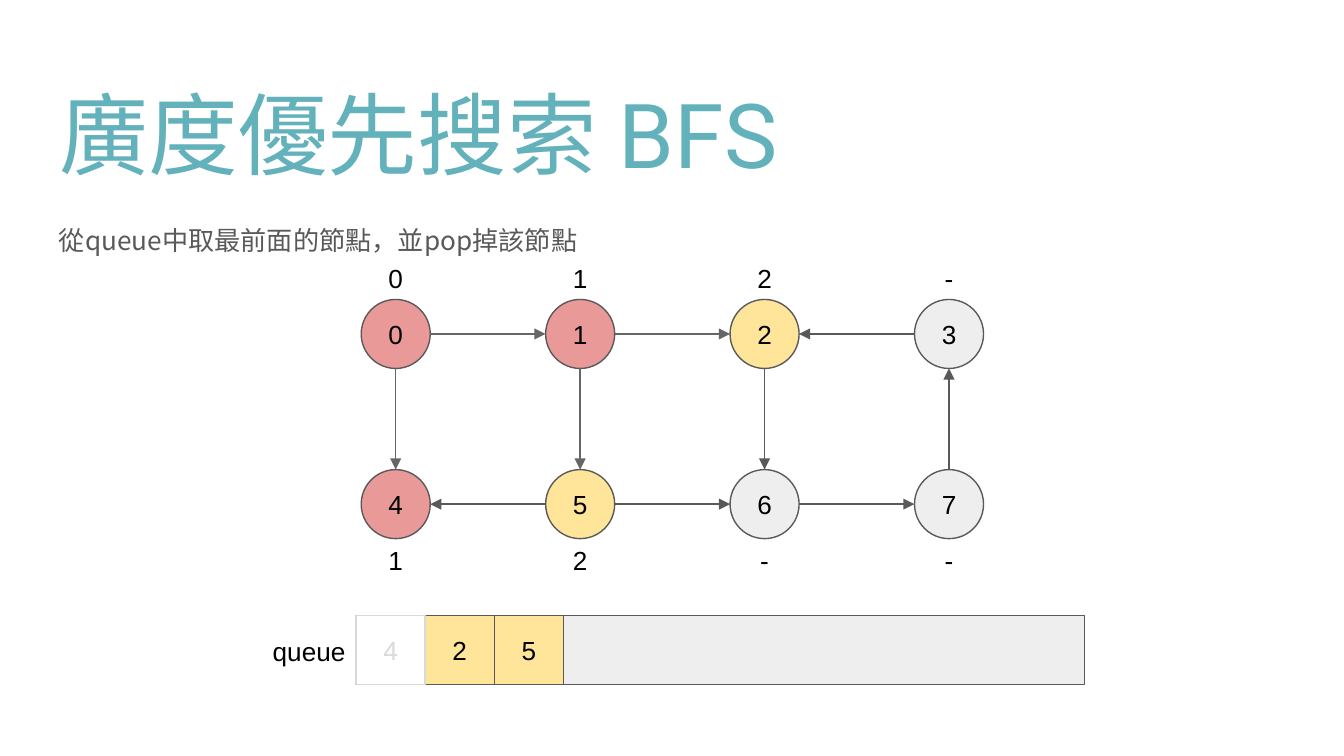
from lxml import etree
from pptx import Presentation
from pptx.dml.color import RGBColor
from pptx.enum.shapes import MSO_CONNECTOR, MSO_SHAPE
from pptx.enum.text import MSO_ANCHOR, MSO_AUTO_SIZE, PP_ALIGN
from pptx.oxml.ns import qn
from pptx.util import Pt

LEFT, CENTER = PP_ALIGN.LEFT, PP_ALIGN.CENTER
TOP, MIDDLE = MSO_ANCHOR.TOP, MSO_ANCHOR.MIDDLE
OVAL, RECT = MSO_SHAPE.OVAL, MSO_SHAPE.RECTANGLE
STRAIGHT, NO_FIT = MSO_CONNECTOR.STRAIGHT, MSO_AUTO_SIZE.NONE

COLORS = {
    "title": "63B2BB", "body": "595959", "text": "000000", "line": "595959",
    "light_line": "666666", "visited": "EA9999", "queued": "FFE599",
    "idle": "EEEEEE", "popped": "FFFFFF", "faded": "D9D9D9",
}
TITLE = "廣度優先搜索 BFS"
SUBTITLE = "從queue中取最前面的節點，並pop掉該節點"
NODES = [
    ("visited", "0"), ("visited", "1"), ("queued", "2"), ("idle", "-"),
    ("visited", "1"), ("queued", "2"), ("idle", "-"), ("idle", "-"),
]
EDGES = [
    (0, 1, "light_line"), (1, 5, "light_line"), (5, 4, "line"),
    (1, 2, "light_line"), (3, 2, "line"), (5, 6, "line"), (6, 7, "line"),
    (7, 3, "line"), (2, 6, "line"), (0, 4, "light_line"),
]
QUEUE = [
    ("2", 1, "queued", "line", "text"),
    ("5", 2, "queued", "line", "text"),
    ("4", 0, "popped", "faded", "faded"),
]
COLUMNS, SIZE = 4, 37
GRID_X, GRID_Y, STEP_X, STEP_Y = 193.5, 160.4, 98.8, 91.2
LABEL_W, LABEL_H, LABEL_Y = 57.6, 23, (137.5, 288.7)
QUEUE_X, QUEUE_Y, QUEUE_W = 190.8, 329.8, 390.2


def rgb(name):
    return RGBColor.from_string(COLORS[name])


def write(s, text, size=14, font="Arial", color="text", align=CENTER, anchor=MIDDLE):
    tf = s.text_frame
    tf.word_wrap = True
    tf.auto_size = NO_FIT
    tf.vertical_anchor = anchor
    tf.margin_left = tf.margin_right = tf.margin_top = tf.margin_bottom = Pt(7.2)
    p = tf.paragraphs[0]
    p.alignment = align
    r = p.add_run()
    r.text = text
    r.font.size = Pt(size)
    r.font.name = font
    r.font.color.rgb = rgb(color)
    etree.SubElement(r.font._element, qn("a:ea"), typeface=font)


def add_text(slide, x, y, w, h, text, **style):
    write(slide.shapes.add_textbox(Pt(x), Pt(y), Pt(w), Pt(h)), text, **style)


def add_box(slide, kind, x, y, w, fill, line="line"):
    s = slide.shapes.add_shape(kind, Pt(x), Pt(y), Pt(w), Pt(SIZE))
    s.shadow.inherit = False
    s.fill.solid()
    s.fill.fore_color.rgb = rgb(fill)
    s.line.color.rgb = rgb(line)
    s.line.width = Pt(0.75)
    return s


def node_center(i):
    row, col = divmod(i, COLUMNS)
    return GRID_X + col * STEP_X + SIZE / 2, GRID_Y + row * STEP_Y + SIZE / 2


def add_edge(slide, start, end, color):
    (x1, y1), (x2, y2) = node_center(start), node_center(end)
    trim = SIZE / 2 / (abs(x2 - x1) + abs(y2 - y1))
    dx, dy = (x2 - x1) * trim, (y2 - y1) * trim
    c = slide.shapes.add_connector(
        STRAIGHT, Pt(x1 + dx), Pt(y1 + dy), Pt(x2 - dx), Pt(y2 - dy))
    c.line.color.rgb = rgb(color)
    c.line.width = Pt(0.75)
    etree.SubElement(c.line._get_or_add_ln(), qn("a:tailEnd"), type="triangle")
    etree.SubElement(c._element.spPr, qn("a:effectLst"))


def main():
    """Build the breadth-first search slide."""
    prs = Presentation()
    prs.slide_width, prs.slide_height = Pt(720), Pt(405)
    slide = prs.slides.add_slide(prs.slide_layouts[5])

    title = slide.shapes.title
    title.left, title.top, title.width, title.height = Pt(24.5), Pt(35.3), Pt(671), Pt(71.3)
    write(title, TITLE, size=48, font="Roboto", color="title", align=LEFT, anchor=TOP)
    add_text(slide, 24.5, 113, 432, 47.5, SUBTITLE, font="Noto Sans CJK TC",
             color="body", align=LEFT, anchor=TOP)

    for i, (state, distance) in enumerate(NODES):
        x, y = node_center(i)
        write(add_box(slide, OVAL, x - SIZE / 2, y - SIZE / 2, SIZE, state), str(i))
        add_text(slide, x - LABEL_W / 2, LABEL_Y[i // COLUMNS], LABEL_W, LABEL_H, distance)
    for edge in EDGES:
        add_edge(slide, *edge)

    add_box(slide, RECT, QUEUE_X, QUEUE_Y, QUEUE_W, "idle")
    add_text(slide, 139, 333.4, 62, 30, "queue", align=LEFT, anchor=TOP)
    for text, slot, fill, line, color in QUEUE:
        cell = add_box(slide, RECT, QUEUE_X + slot * SIZE, QUEUE_Y, SIZE, fill, line)
        write(cell, text, color=color)

    prs.save("out.pptx")


if __name__ == "__main__":
    main()
